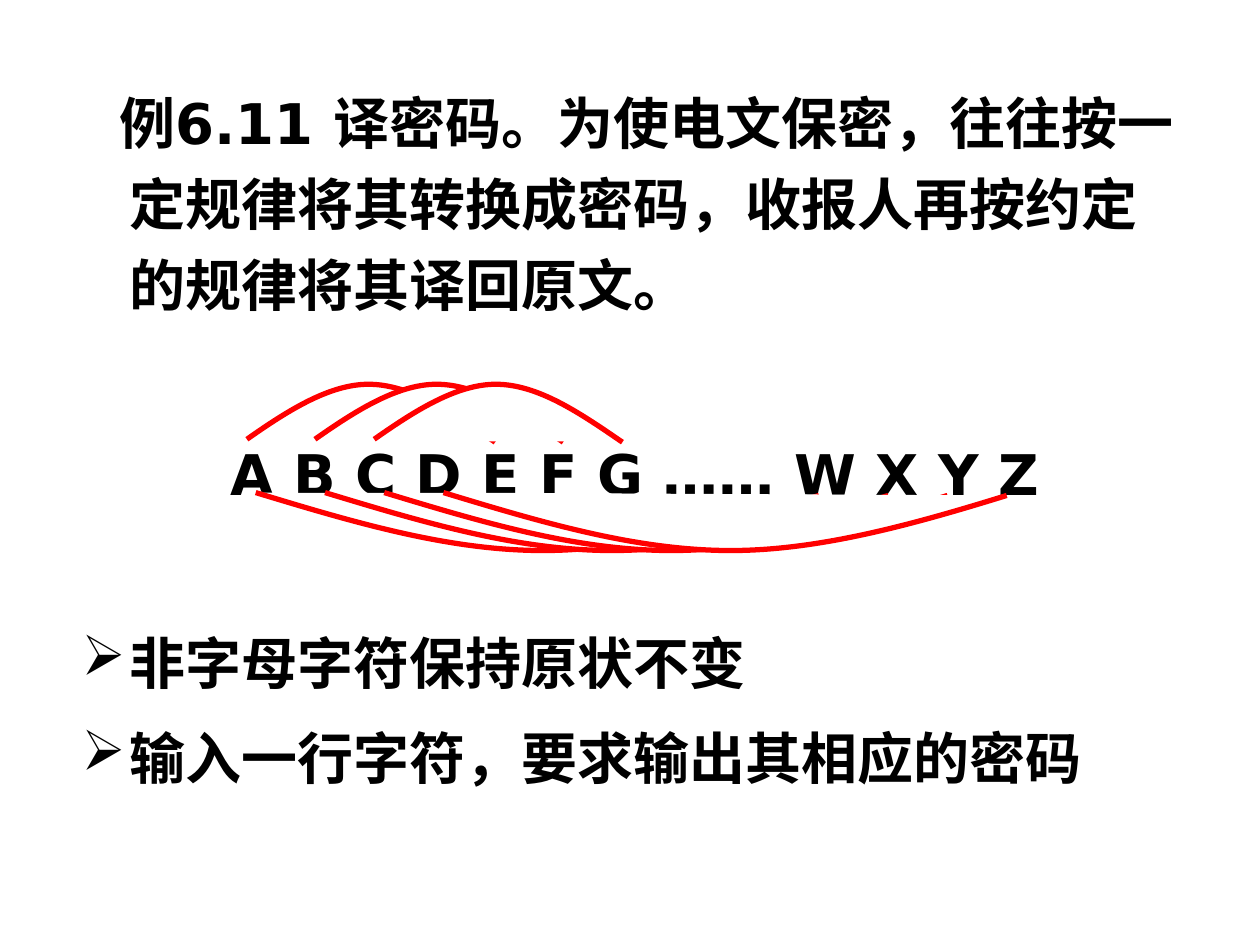
from lxml.etree import SubElement
from pptx import Presentation
from pptx.dml.color import RGBColor
from pptx.enum.text import PP_ALIGN
from pptx.oxml.ns import qn
from pptx.util import Inches, Pt

UNIT = Inches(0.1)
COLUMNS, ROWS = 100, 75
FONT = "DejaVu Sans"
COLOURS = {"text": "000000", "curve": "FF0000", "paper": "FFFFFF"}
HANG = 3.8
BLANK_LINE_GAP = 62
ARCH = [(0, 0.95), (0.16, 0.47), (0.33, 0), (0.49, 0), (0.66, 0), (0.83, 0.5), (1, 1)]
BOWL = [(1 - x, 1 - y) for x, y in ARCH]


def colour(name):
    """Return the named colour."""
    return RGBColor.from_string(COLOURS[name])


def grid(value):
    """Turn grid units into a length."""
    return round(value * UNIT)


def write(para, text, indent=-HANG, before=8, align=PP_ALIGN.LEFT, bullet=None):
    """Fill a paragraph with bold text and its format."""
    para.alignment, para.line_spacing, para.space_before = align, 1.2, Pt(before)
    properties = para._p.get_or_add_pPr()
    properties.set("marL", str(grid(HANG)))
    properties.set("indent", str(grid(indent)))
    if bullet:
        tint = SubElement(properties, qn("a:buClr"))
        SubElement(tint, qn("a:srgbClr"), val=COLOURS["text"])
        SubElement(properties, qn("a:buChar"), char=bullet)
    span = para.add_run()
    span.text = text
    span.font.name, span.font.size, span.font.bold = FONT, Pt(32), True
    span.font.color.rgb = colour("text")


def add_body(page, left, top, width, height):
    """Place the task, the alphabet row and the two rules."""
    box = page.shapes.add_textbox(*map(grid, (left, top, width, height)))
    frame = box.text_frame
    frame.word_wrap = True
    write(
        frame.paragraphs[0],
        "例6.11 译密码。为使电文保密，往往按一定规律将其转换成密码，收报人再按约定的规律将其译回原文。",
        indent=-0.8,
    )
    write(
        frame.add_paragraph(),
        "A B C D E F G …… W X Y Z",
        before=BLANK_LINE_GAP,
        align=PP_ALIGN.CENTER,
    )
    rules = ["非字母字符保持原状不变", "输入一行字符，要求输出其相应的密码"]
    for rule, before in zip(rules, (BLANK_LINE_GAP, 8)):
        write(frame.add_paragraph(), rule, before=before, bullet="➢")


def add_curve(page, left, top, width, height, outline):
    """Draw two joined Bezier curves whose points are shares of the box."""
    points = [(grid(left + x * width), grid(top + y * height)) for x, y in outline]
    builder = page.shapes.build_freeform(*points[0])
    builder.add_line_segments(points[1:], close=False)
    shape = builder.convert_to_shape()
    segments = shape._element.xpath(".//a:lnTo")
    for first in range(0, len(segments), 3):
        curve = segments[first]
        curve.tag = qn("a:cubicBezTo")
        for segment in segments[first + 1:first + 3]:
            curve.append(segment[0])
            segment.getparent().remove(segment)
    shape.shadow.inherit = False
    shape.fill.solid()
    shape.fill.fore_color.rgb = colour("paper")
    shape.line.color.rgb = colour("curve")
    shape.line.width = Pt(3)


def add_curves(page, lefts, top, width, height, outline):
    """Draw one curve of the same size from each left edge."""
    for left in lefts:
        add_curve(page, left, top, width, height, outline)


def main():
    """Build and save the slide."""
    deck = Presentation()
    deck.slide_width, deck.slide_height = grid(COLUMNS), grid(ROWS)
    page = deck.slides.add_slide(deck.slide_layouts[6])
    add_body(page, 5.5, 5.5, 89.8, 60.2)
    add_curves(page, (19.6, 25, 29.7), 30.5, 19.7, 4.6, ARCH)
    add_curves(page, (20.3, 25.8, 30.5, 35.2), 39.1, 44.7, 4.6, BOWL)
    deck.save("out.pptx")


if __name__ == "__main__":
    main()
